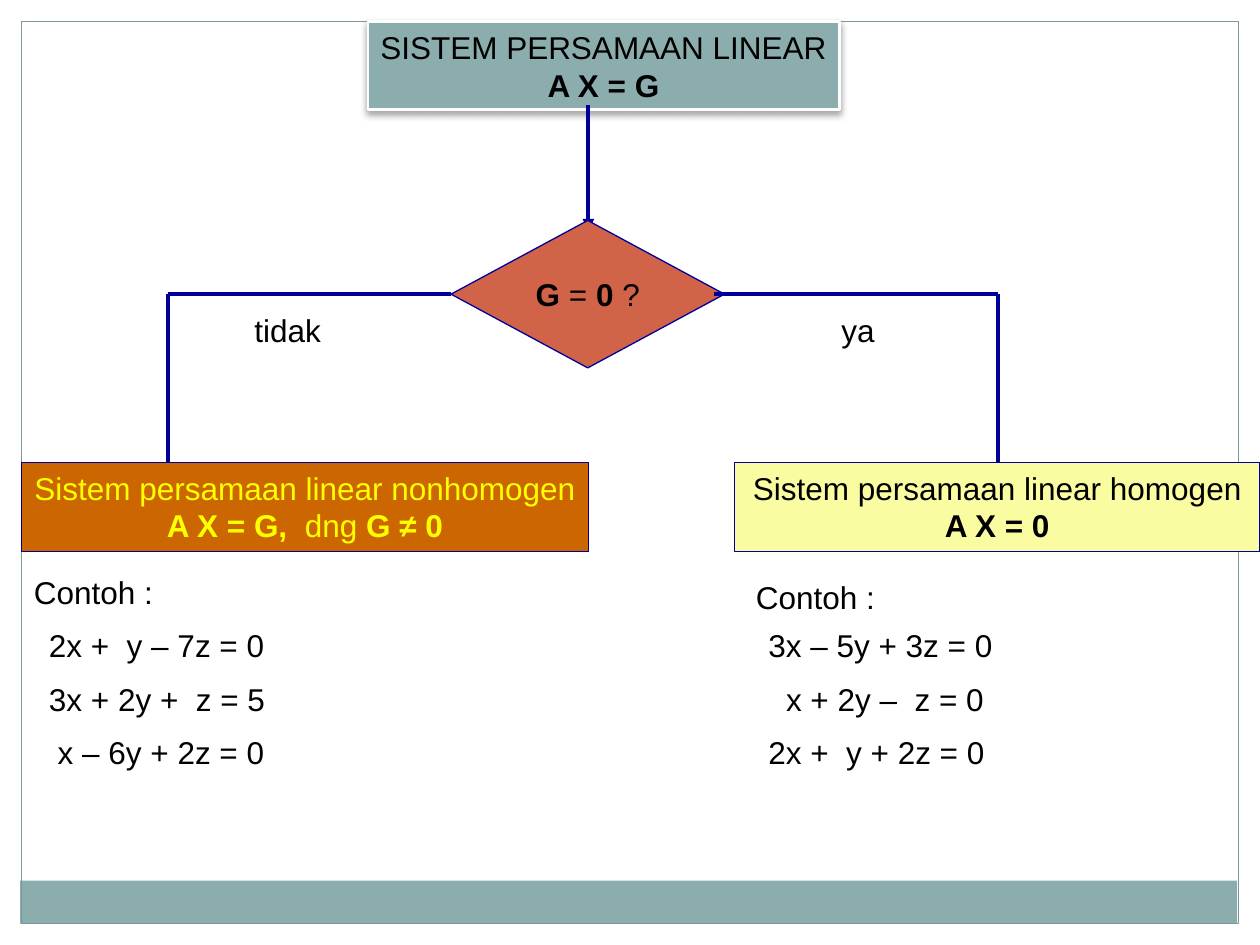
from lxml import etree
from pptx import Presentation
from pptx.dml.color import RGBColor
from pptx.enum.shapes import MSO_CONNECTOR, MSO_SHAPE
from pptx.enum.text import MSO_ANCHOR, MSO_AUTO_SIZE, PP_ALIGN
from pptx.oxml import parse_xml
from pptx.oxml.ns import nsdecls, qn
from pptx.util import Inches, Pt

COLORS = {
    "teal": "8CADAE", "frame": "7C999A", "white": "FFFFFF", "black": "000000",
    "navy": "000099", "red": "D16349", "cream": "FAFCA2", "orange": "CC6600",
    "yellow": "FFFF00",
}


def paint(shape, fill=None, line=None, width=0.75):
    if fill:
        shape.fill.solid()
        shape.fill.fore_color.rgb = RGBColor.from_string(COLORS[fill])
    else:
        shape.fill.background()
    if line:
        shape.line.color.rgb = RGBColor.from_string(COLORS[line])
        shape.line.width = Pt(width)
    else:
        shape.line.fill.background()


def write(shape, lines, color="black", align=PP_ALIGN.CENTER, anchor=MSO_ANCHOR.TOP,
          wrap=False, margin=0.1):
    frame = shape.text_frame
    frame.word_wrap = wrap
    frame.auto_size = MSO_AUTO_SIZE.NONE
    frame.vertical_anchor = anchor
    frame.margin_left = frame.margin_right = Inches(margin)
    frame.margin_top = frame.margin_bottom = Inches(0.05)
    for index, runs in enumerate(lines):
        paragraph = frame.add_paragraph() if index else frame.paragraphs[0]
        paragraph.alignment = align
        paragraph.line_spacing = 1.0
        for text, bold in runs:
            run = paragraph.add_run()
            run.text = text
            run.font.name = "Arial"
            run.font.size = Pt(18)
            run.font.bold = bold
            run.font.color.rgb = RGBColor.from_string(COLORS[color])


presentation = Presentation()
presentation.slide_width = Inches(10)
presentation.slide_height = Inches(7.5)
slide = presentation.slides.add_slide(presentation.slide_layouts[5])
shapes = slide.shapes

for left, top, width, height, fill, line in [
    (0.16, 6.99, 9.66, 0.34, "teal", None),
    (0.17, 0.17, 9.66, 7.16, None, "frame"),
]:
    shape = shapes.add_shape(
        MSO_SHAPE.RECTANGLE, Inches(left), Inches(top), Inches(width), Inches(height))
    shape.shadow.inherit = False
    paint(shape, fill, line)

title = shapes.title
title.left, title.top = Inches(2.92), Inches(0.17)
title.width, title.height = Inches(3.74), Inches(0.7)
paint(title, "teal", "white", 1.57)
title._element.spPr.append(parse_xml(
    f'<a:effectLst {nsdecls("a")}>'
    '<a:outerShdw blurRad="50800" dist="25400" dir="5400000" rotWithShape="0">'
    f'<a:srgbClr val="{COLORS["black"]}"><a:alpha val="35000"/></a:srgbClr>'
    '</a:outerShdw></a:effectLst>'))
write(title, [[("SISTEM PERSAMAAN LINEAR", False)], [("A X = G", True)]], margin=0.02)
shapes._spTree.append(title._element)

for x1, y1, x2, y2, arrow in [
    (4.67, 0.83, 4.67, 1.83, True),
    (7.92, 2.33, 7.92, 3.67, False),
    (5.67, 2.33, 7.92, 2.33, False),
    (1.33, 2.33, 3.58, 2.33, False),
    (1.33, 2.33, 1.33, 3.67, False),
]:
    connector = shapes.add_connector(
        MSO_CONNECTOR.STRAIGHT, Inches(x1), Inches(y1), Inches(x2), Inches(y2))
    connector.line.color.rgb = RGBColor.from_string(COLORS["navy"])
    connector.line.width = Pt(2.25)
    if arrow:
        etree.SubElement(connector.line._get_or_add_ln(), qn("a:tailEnd"), type="triangle")
    etree.SubElement(connector._element.spPr, qn("a:effectLst"))
    if arrow:
        decision = shapes.add_shape(
            MSO_SHAPE.FLOWCHART_DECISION, Inches(3.58), Inches(1.75), Inches(2.17), Inches(1.17))
        decision.shadow.inherit = False
        paint(decision, "red", "navy")
        write(decision, [[("G", True), (" = ", False), ("0", True), (" ?", False)]],
              anchor=MSO_ANCHOR.MIDDLE)

for left, width, fill, color, lines in [
    (5.83, 4.17, "cream", "black",
     [[("Sistem persamaan linear homogen", False)], [("A X = 0", True)]]),
    (0.17, 4.5, "orange", "yellow",
     [[("Sistem persamaan linear nonhomogen", False)],
      [("A X = G, ", True), (" dng ", False), ("G ≠ 0", True)]]),
]:
    result = shapes.add_shape(
        MSO_SHAPE.RECTANGLE, Inches(left), Inches(3.67), Inches(width), Inches(0.71))
    result.shadow.inherit = False
    paint(result, fill, "navy")
    write(result, lines, color, wrap=True)

for text, left, top, width in [
    ("ya", 6.58, 2.42, 0.47),
    ("tidak", 1.92, 2.42, 0.73),
    ("Contoh :", 5.9, 4.54, 1.15),
    ("Contoh :", 0.17, 4.5, 1.15),
]:
    label = shapes.add_textbox(Inches(left), Inches(top), Inches(width), Inches(0.4))
    write(label, [[(text, False)]], align=PP_ALIGN.LEFT)

for left, equations in [
    (6, [("3x – 5y + 3z = 0", 0), ("x + 2y –  z = 0", 0.14), ("2x +  y + 2z = 0", 0)]),
    (0.29, [("2x +  y – 7z = 0", 0), ("3x + 2y +  z = 5", 0), ("x – 6y + 2z = 0", 0.07)]),
]:
    system = shapes.add_textbox(Inches(left), Inches(4.92), Inches(4), Inches(1.3))
    write(system, [[(text, False)] for text, indent in equations],
          align=PP_ALIGN.LEFT, wrap=True)
    for index, (text, indent) in enumerate(equations):
        paragraph = system.text_frame.paragraphs[index]
        paragraph._p.get_or_add_pPr().set("marL", str(Inches(indent)))
        if index:
            paragraph.space_before = Pt(9)

presentation.save("out.pptx")
